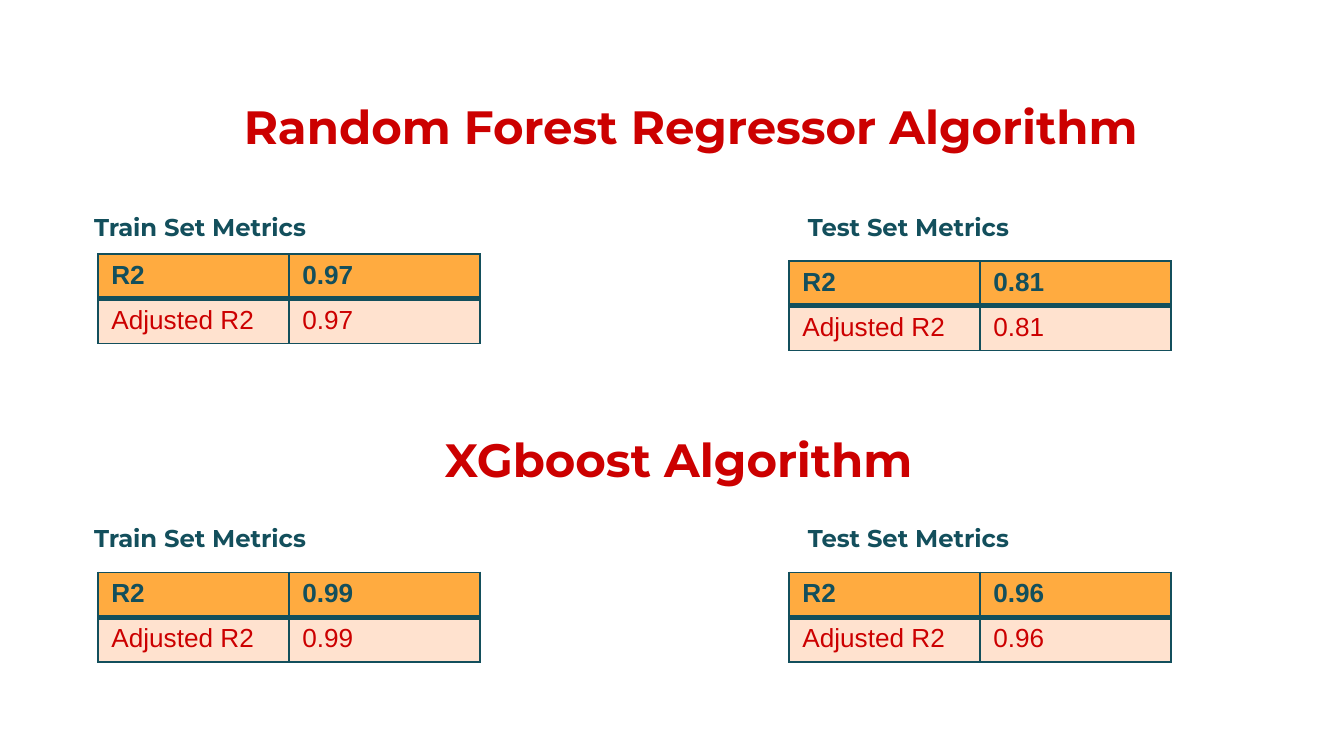
from lxml import etree
from pptx import Presentation
from pptx.dml.color import RGBColor
from pptx.enum.text import PP_ALIGN
from pptx.oxml.ns import qn
from pptx.util import Cm, Pt

CENTER, LEFT = PP_ALIGN.CENTER, PP_ALIGN.LEFT
RED, TEAL, ORANGE, PEACH = "CC0000", "134F5C", "FFAB40", "FFE2CF"
HEADING_FONT, TABLE_FONT = "Montserrat", "Arial"

SUBHEADS = ("Train Set Metrics", "Test Set Metrics")
METRICS = ("R2", "Adjusted R2")
ALGORITHMS = [
    {"title": "Random Forest Regressor Algorithm", "title_at": (1.22, 1.6, 1.24),
     "subhead_top": 3.68, "scores": ("0.97", "0.81"), "table_tops": (4.8, 4.93)},
    {"title": "XGboost Algorithm", "title_at": (0.99, 7.9, 1.68),
     "subhead_top": 9.55, "scores": ("0.99", "0.96"), "table_tops": (10.82, 10.82)},
]
TABLE_LEFTS = (1.85, 14.91)
COLUMN_WIDTH, ROW_HEIGHT = 3.61, 0.84
TEXT_LEFT, TEXT_WIDTH, INSET = 1.22, 23.67, 0.25
SUBHEAD_INSET, SUBHEAD_TAB = 0.56, 13.49
THIN, THICK = 1, 3


def color(value):
    return RGBColor.from_string(value)


def style(paragraph, name, size, ink, bold):
    font = paragraph.font
    font.name, font.size, font.bold = name, Pt(size), bold
    font.color.rgb = color(ink)


def add_text(slide, text, left, top, height, size, ink, align, inset=INSET):
    frame = slide.shapes.add_textbox(
        Cm(left), Cm(top), Cm(TEXT_WIDTH), Cm(height)).text_frame
    frame.word_wrap = True
    frame.margin_left = Cm(inset)
    frame.margin_top = frame.margin_right = frame.margin_bottom = Cm(INSET)
    paragraph = frame.paragraphs[0]
    paragraph.text = text
    paragraph.alignment = align
    style(paragraph, HEADING_FONT, size, ink, True)
    return paragraph


def add_subheads(slide, top):
    paragraph = add_text(slide, "\t".join(SUBHEADS), TEXT_LEFT, top, 4.22,
                         13, TEAL, LEFT, SUBHEAD_INSET)
    paragraph.line_spacing = 1.15
    properties = paragraph.font._element.getparent()
    stops = etree.Element(qn("a:tabLst"))
    etree.SubElement(stops, qn("a:tab"), pos=str(Cm(SUBHEAD_TAB)), algn="l")
    properties.insert(properties.index(paragraph.font._element), stops)


def add_borders(cell, top, bottom):
    properties = cell._tc.get_or_add_tcPr()
    for side, width in (("L", THIN), ("R", THIN), ("T", top), ("B", bottom)):
        line = etree.SubElement(properties, qn(f"a:ln{side}"), w=str(Pt(width)))
        fill = etree.SubElement(line, qn("a:solidFill"))
        etree.SubElement(fill, qn("a:srgbClr"), val=TEAL)


def add_metrics(slide, score, left, top):
    rows = len(METRICS)
    table = slide.shapes.add_table(
        rows, 2, Cm(left), Cm(top),
        Cm(2 * COLUMN_WIDTH), Cm(rows * ROW_HEIGHT)).table
    table.horz_banding = False
    for r, metric in enumerate(METRICS):
        header = r == 0
        for c, text in enumerate((metric, score)):
            cell = table.cell(r, c)
            cell.text = text
            add_borders(cell, THIN if header else THICK, THICK if header else THIN)
            cell.fill.solid()
            cell.fill.fore_color.rgb = color(ORANGE if header else PEACH)
            style(cell.text_frame.paragraphs[0], TABLE_FONT, 14,
                  TEAL if header else RED, header)


def main():
    presentation = Presentation()
    presentation.slide_width, presentation.slide_height = Cm(25.4), Cm(14.29)
    slide = presentation.slides.add_slide(presentation.slide_layouts[6])
    for algorithm in ALGORITHMS:
        add_text(slide, algorithm["title"], *algorithm["title_at"], 25, RED, CENTER)
        add_subheads(slide, algorithm["subhead_top"])
        for score, left, top in zip(algorithm["scores"], TABLE_LEFTS,
                                    algorithm["table_tops"]):
            add_metrics(slide, score, left, top)
    presentation.save("out.pptx")


if __name__ == "__main__":
    main()
